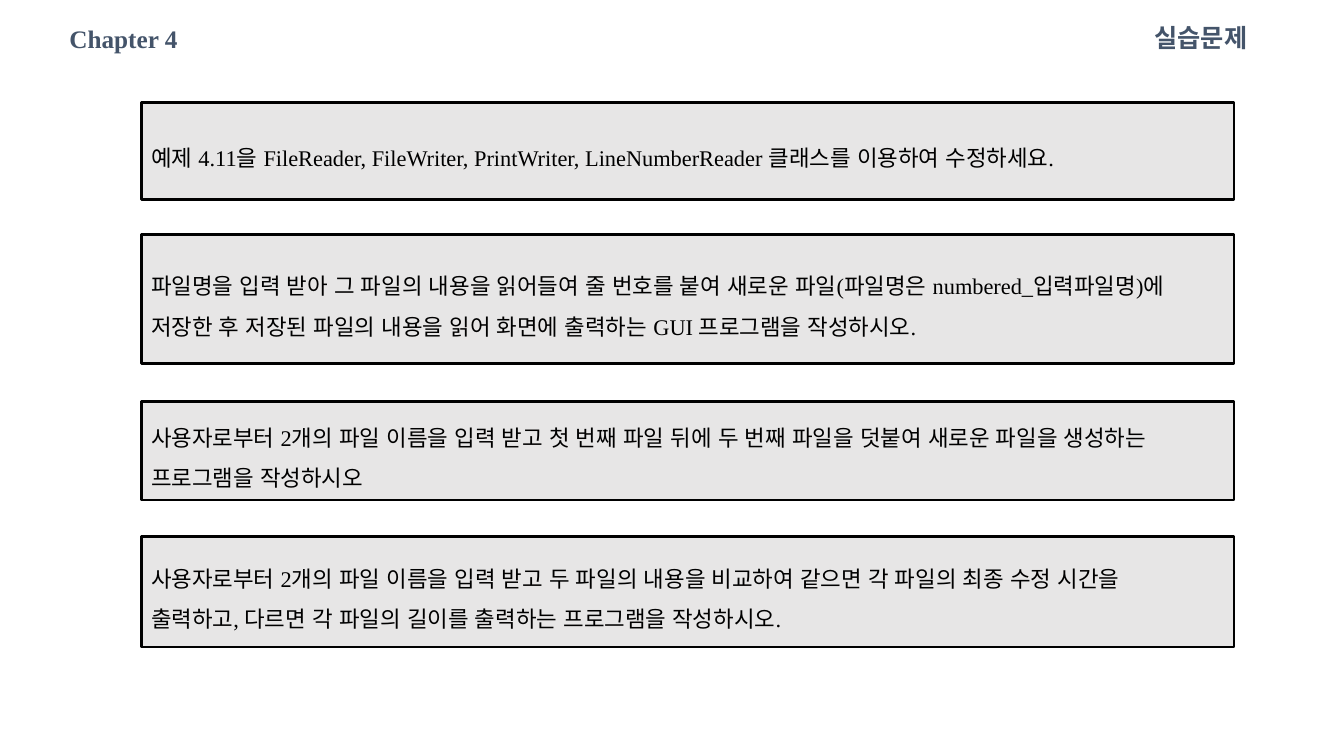
import dataclasses

import pptx
import pptx.dml.color
import pptx.enum.lang
import pptx.enum.shapes
import pptx.enum.text
import pptx.util

Inches = pptx.util.Inches
Align = pptx.enum.text.PP_ALIGN

FONT = "Times New Roman"
HEADING = "44546A"
INK = "000000"
PANEL = "E7E6E6"
PANEL_LEFT, PANEL_WIDTH = 1.4, 10.84


@dataclasses.dataclass
class Exercise:
    top: float
    height: float
    lines: list[str]


EXERCISES = [
    Exercise(1.02, 0.96, [
        "예제 4.11을 FileReader, FileWriter, PrintWriter, LineNumberReader 클래스를 이용하여 수정하세요.",
    ]),
    Exercise(2.33, 1.28, [
        "파일명을 입력 받아 그 파일의 내용을 읽어들여 줄 번호를 붙여 새로운 파일(파일명은 numbered_입력파일명)에",
        "저장한 후 저장된 파일의 내용을 읽어 화면에 출력하는 GUI 프로그램을 작성하시오.",
    ]),
    Exercise(3.98, 0.98, [
        "사용자로부터 2개의 파일 이름을 입력 받고 첫 번째 파일 뒤에 두 번째 파일을 덧붙여 새로운 파일을 생성하는 ",
        "프로그램을 작성하시오",
    ]),
    Exercise(5.32, 1.1, [
        "사용자로부터 2개의 파일 이름을 입력 받고 두 파일의 내용을 비교하여 같으면 각 파일의 최종 수정 시간을 ",
        "출력하고, 다르면 각 파일의 길이를 출력하는 프로그램을 작성하시오.",
    ]),
]


def rgb(value: str) -> pptx.dml.color.RGBColor:
    return pptx.dml.color.RGBColor.from_string(value)


def write(shape, lines: list[str], *, size: int, color: str, bold: bool = False,
          align=Align.LEFT, spacing: float = 1.0) -> None:
    frame = shape.text_frame
    frame.word_wrap = False
    frame.auto_size = pptx.enum.text.MSO_AUTO_SIZE.NONE
    frame.vertical_anchor = pptx.enum.text.MSO_ANCHOR.MIDDLE
    for index, line in enumerate(lines):
        paragraph = frame.add_paragraph() if index else frame.paragraphs[0]
        paragraph.alignment = align
        paragraph.line_spacing = spacing
        run = paragraph.add_run()
        run.text = line
        run.font.name = FONT
        run.font.size = pptx.util.Pt(size)
        run.font.bold = bold
        run.font.color.rgb = rgb(color)
        run.font.language_id = pptx.enum.lang.MSO_LANGUAGE_ID.KOREAN


def draw_exercise(slide, exercise: Exercise) -> None:
    panel = slide.shapes.add_shape(
        pptx.enum.shapes.MSO_SHAPE.RECTANGLE,
        Inches(PANEL_LEFT), Inches(exercise.top),
        Inches(PANEL_WIDTH), Inches(exercise.height))
    panel.shadow.inherit = False
    panel.fill.solid()
    panel.fill.fore_color.rgb = rgb(PANEL)
    panel.line.color.rgb = rgb(INK)
    panel.line.width = pptx.util.Pt(2)
    write(panel, exercise.lines, size=16, color=INK, align=Align.JUSTIFY, spacing=1.5)


deck = pptx.Presentation()
deck.slide_width, deck.slide_height = Inches(13.33), Inches(7.5)
slide = deck.slides.add_slide(deck.slide_layouts.get_by_name("Title Only"))

# Header: chapter on the left, slide title on the right
chapter = slide.shapes.add_textbox(Inches(0.59), Inches(0.17), Inches(1.42), Inches(0.42))
write(chapter, ["Chapter 4"], size=18, color=HEADING, bold=True)

title = slide.shapes.title
title.left, title.top = Inches(10.02), Inches(0.16)
title.width, title.height = Inches(2.52), Inches(0.42)
write(title, ["실습문제 "], size=18, color=HEADING, bold=True, align=Align.RIGHT)

# Exercise panels
for exercise in EXERCISES:
    draw_exercise(slide, exercise)

deck.save("out.pptx")
